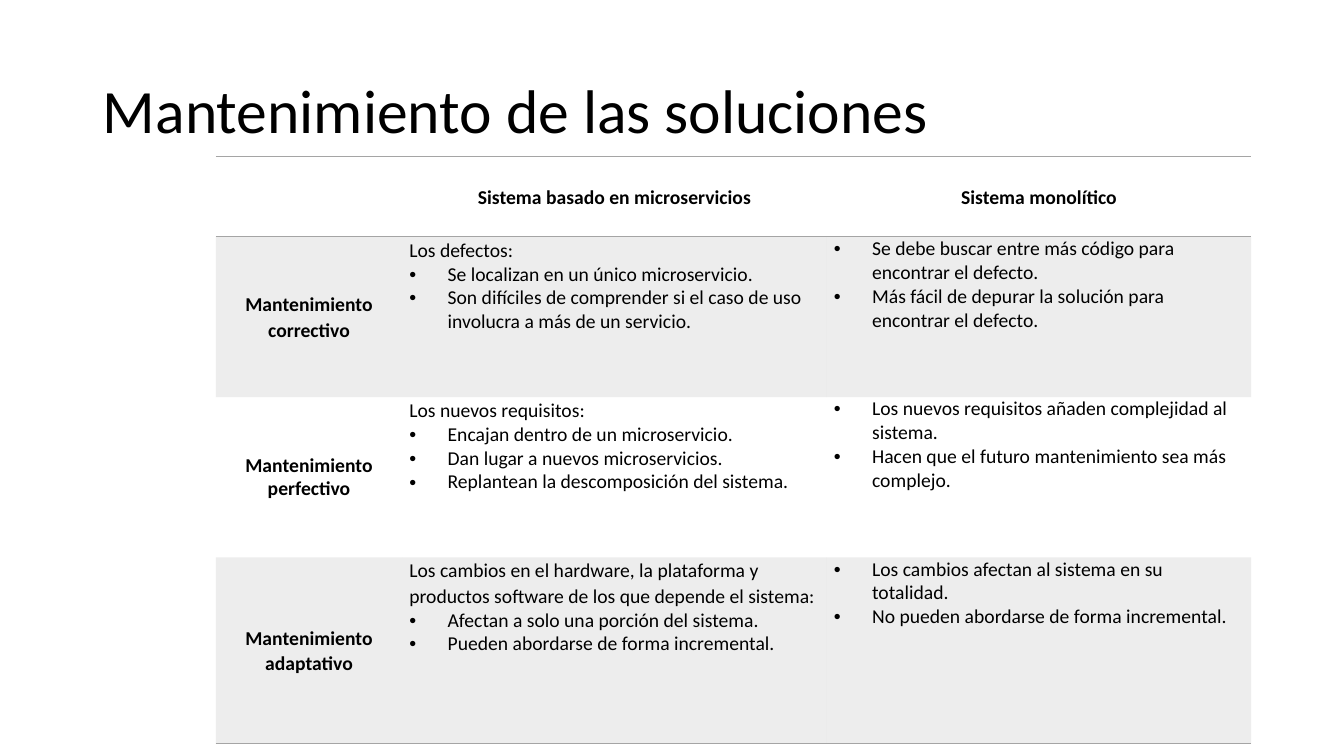
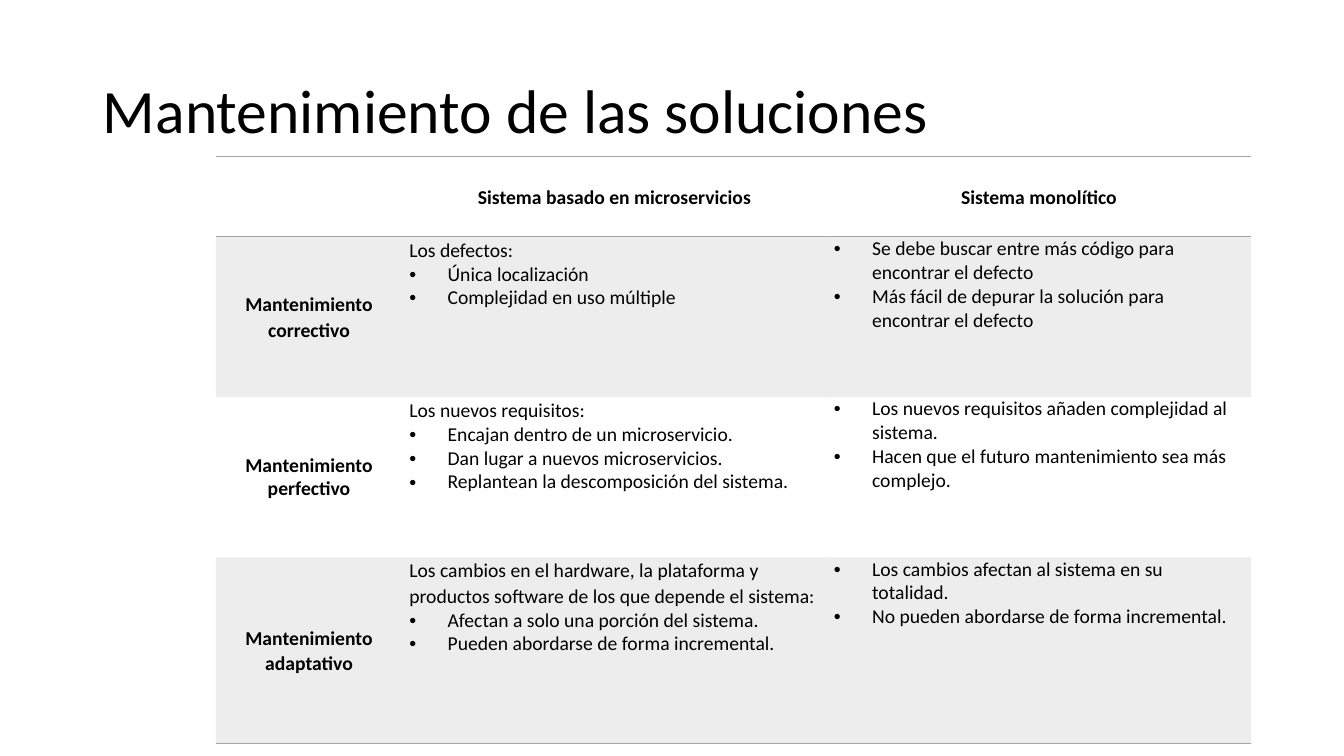
from lxml import etree
from pptx import Presentation
from pptx import util as u
from pptx.dml.color import RGBColor
from pptx.enum import text
from pptx.oxml.ns import qn

BLACK = RGBColor(0, 0, 0)
GRAY = RGBColor(0xA5, 0xA5, 0xA5)
FONT = "Calibri"
NO_STYLE = "{2D5ABB26-0587-4C30-8999-92F81FD0307C}"
BAND_ALPHA = 20
LOOSE = 1.07

TITLE = "Mantenimiento de las soluciones"
HEADERS = ["", "Sistema basado en microservicios", "Sistema monolítico"]
COLS = [1.85, 4.21, 4.21]
ROWS = [0.8, 1.59, 1.59, 1.85]

PERFECTIVE = {
    "label": "Mantenimiento perfectivo",
    "label_spacing": 1.0,
    "intro": "Los nuevos requisitos:",
    "micro": ["Encajan dentro de un microservicio.",
              "Dan lugar a nuevos microservicios.",
              "Replantean la descomposición del sistema."],
    "mono": ["Los nuevos requisitos añaden complejidad al sistema.",
             "Hacen que el futuro mantenimiento sea más complejo."],
}
ADAPTIVE = {
    "label": "Mantenimiento adaptativo",
    "label_spacing": LOOSE,
    "intro": "Los cambios en el hardware, la plataforma y productos software "
             "de los que depende el sistema:",
    "micro": ["Afectan a solo una porción del sistema.",
              "Pueden abordarse de forma incremental."],
    "mono": ["Los cambios afectan al sistema en su totalidad.",
             "No pueden abordarse de forma incremental."],
}
CORRECTIVE = {
    "label": "Mantenimiento correctivo",
    "label_spacing": LOOSE,
    "intro": "Los defectos:",
}
CORRECTIVE_POINTS = [
    {"micro": ["Se localizan en un único microservicio.",
               "Son difíciles de comprender si el caso de uso involucra "
               "a más de un servicio."],
     "mono": ["Se debe buscar entre más código para encontrar el defecto.",
              "Más fácil de depurar la solución para encontrar el defecto."]},
    {"micro": ["Única localización", "Complejidad en uso múltiple"],
     "mono": ["Se debe buscar entre más código para encontrar el defecto",
              "Más fácil de depurar la solución para encontrar el defecto"]},
]


def style_runs(p, size, bold=False):
    for r in p.runs:
        r.font.name = FONT
        r.font.size = u.Pt(size)
        r.font.bold = bold
        r.font.color.rgb = BLACK


def add_bullet(p):
    pPr = p._p.get_or_add_pPr()
    pPr.set("marL", str(u.Inches(0.38)))
    pPr.set("indent", str(-u.Inches(0.38)))
    etree.SubElement(pPr, qn("a:buFont")).set("typeface", "Arial")
    etree.SubElement(pPr, qn("a:buChar")).set("char", "•")


def add_borders(cell, sides):
    tcPr = cell._tc.get_or_add_tcPr()
    for i, side in enumerate(sides):
        ln = etree.Element(qn(f"a:ln{side}"), w=str(u.Pt(1)))
        fill = etree.SubElement(ln, qn("a:solidFill"))
        etree.SubElement(fill, qn("a:srgbClr")).set("val", str(GRAY))
        tcPr.insert(i, ln)


def format_cell(cell, banded, sides):
    cell.margin_left = cell.margin_right = u.Inches(0.07)
    cell.margin_top = cell.margin_bottom = 0
    if banded:
        cell.fill.solid()
        cell.fill.fore_color.rgb = GRAY
        clr = cell._tc.tcPr.find(f".//{qn('a:srgbClr')}")
        etree.SubElement(clr, qn("a:alpha")).set("val", str(BAND_ALPHA * 1000))
    else:
        cell.fill.background()
    add_borders(cell, sides)


def write_heading(cell, words, spacing=LOOSE):
    cell.vertical_anchor = text.MSO_ANCHOR.MIDDLE
    p = cell.text_frame.paragraphs[0]
    p.text = words
    p.alignment = text.PP_ALIGN.CENTER
    p.line_spacing = spacing
    style_runs(p, 14, True)


def write_points(cell, points, intro=None):
    tf = cell.text_frame
    lines = ([intro] if intro else []) + points
    for i, line in enumerate(lines):
        p = tf.add_paragraph() if i else tf.paragraphs[0]
        p.text = line
        if line == intro:
            p.line_spacing = LOOSE
        else:
            add_bullet(p)
        style_runs(p, 14)


def add_title(s):
    sp = s.shapes.title
    sp.left, sp.top, sp.width, sp.height = map(u.Inches, (0.92, 0.4, 11.5, 1.45))
    tf = sp.text_frame
    tf.text = TITLE
    tf.vertical_anchor = text.MSO_ANCHOR.MIDDLE
    p = tf.paragraphs[0]
    p.alignment = text.PP_ALIGN.LEFT
    p.line_spacing = 0.9
    style_runs(p, 44)


def add_comparison(s, kinds):
    table = s.shapes.add_table(
        len(ROWS), len(COLS), u.Inches(2.14), u.Inches(1.55),
        u.Inches(sum(COLS)), u.Inches(sum(ROWS))).table
    table._tbl.tblPr.find(qn("a:tableStyleId")).text = NO_STYLE
    for col, width in zip(table.columns, COLS):
        col.width = u.Inches(width)
    for i, (row, height) in enumerate(zip(table.rows, ROWS)):
        row.height = u.Inches(height)
        sides = "TB" if i == 0 else "B" if i == len(ROWS) - 1 else ""
        for cell in row.cells:
            format_cell(cell, i % 2 == 1, sides)
    for j, header in enumerate(HEADERS):
        if header:
            write_heading(table.cell(0, j), header)
    for i, kind in enumerate(kinds, 1):
        write_heading(table.cell(i, 0), kind["label"], kind["label_spacing"])
        write_points(table.cell(i, 1), kind["micro"], kind["intro"])
        write_points(table.cell(i, 2), kind["mono"])


def main():
    prs = Presentation()
    prs.slide_width, prs.slide_height = u.Inches(13.33), u.Inches(7.5)
    for points in CORRECTIVE_POINTS:
        s = prs.slides.add_slide(prs.slide_layouts[5])
        add_title(s)
        add_comparison(s, [{**CORRECTIVE, **points}, PERFECTIVE, ADAPTIVE])
    prs.save("out.pptx")


if __name__ == "__main__":
    main()
